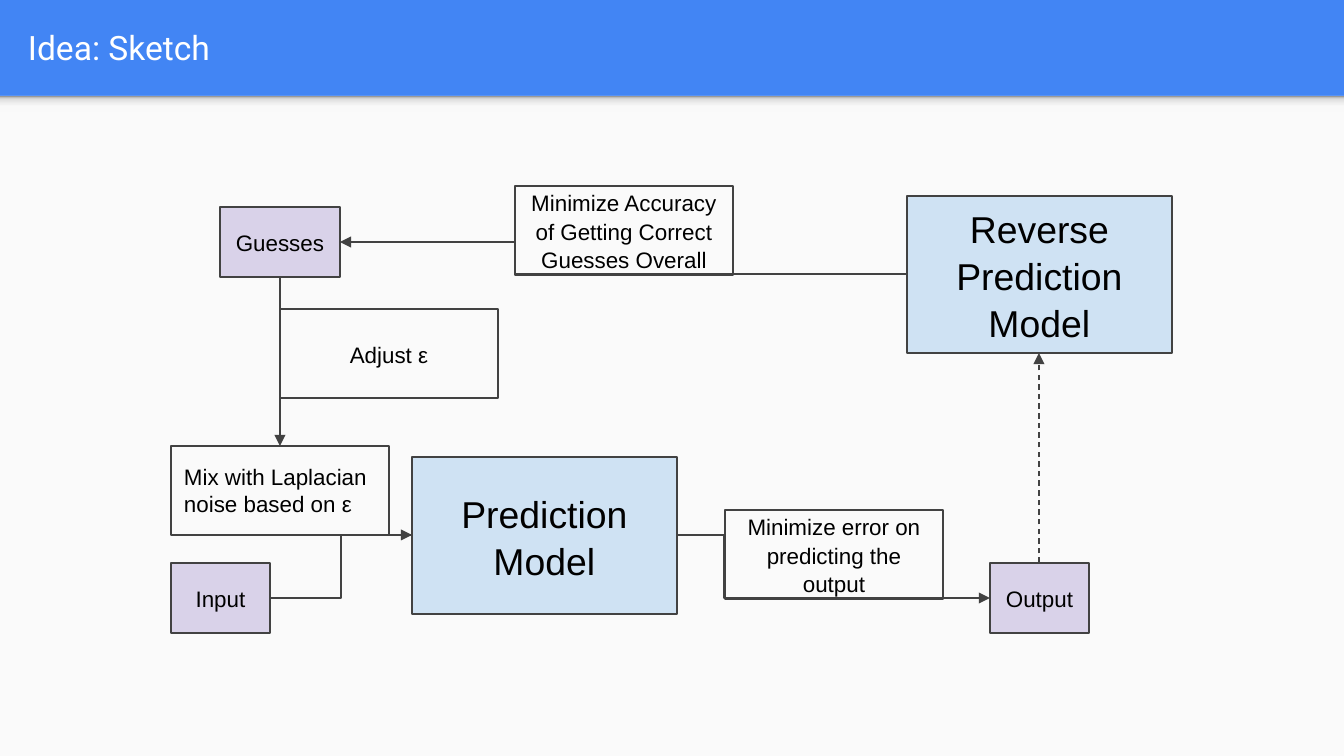
from lxml import etree
from pptx import Presentation
from pptx.dml.color import RGBColor
from pptx.enum.dml import MSO_LINE
from pptx.enum.shapes import MSO_CONNECTOR, MSO_SHAPE
from pptx.enum.text import MSO_ANCHOR, PP_ALIGN
from pptx.oxml.ns import qn
from pptx.util import Pt

RECT = MSO_SHAPE.RECTANGLE
STRAIGHT, ELBOW = MSO_CONNECTOR.STRAIGHT, MSO_CONNECTOR.ELBOW
DASH = MSO_LINE.DASH
MIDDLE = MSO_ANCHOR.MIDDLE
LEFT, CENTER = PP_ALIGN.LEFT, PP_ALIGN.CENTER

PX = 914400 / 134.4  # EMU per px
W, H, BAR_H = 1344, 756, 96

THEME = {
    "header": "4285F4", "page": "FAFAFA", "title": "FFFFFF", "text": "000000",
    "line": "424242", "model": "CFE2F3", "data": "D9D2E9",
    "shade": [(0, "F9F9F9"), (36, "F9F9F9"), (80, "DEDEDE"), (100, "999999")],
    "title_pt": 18, "model_pt": 20, "label_pt": 12, "line_pt": 0.75,
    "title_font": "Roboto", "body_font": "Arial",
}


def px(*values):
    return [round(v * PX) for v in values]


def write(sp, text, size=THEME["label_pt"], color=THEME["text"],
          font=THEME["body_font"], align=CENTER, spacing=1.05):
    tf = sp.text_frame
    tf.word_wrap = True
    tf.vertical_anchor = MIDDLE
    tf.margin_left = tf.margin_right = tf.margin_top = tf.margin_bottom = px(13)[0]
    p = tf.paragraphs[0]
    p.alignment = align
    p.line_spacing = spacing
    r = p.add_run()
    r.text = text
    r.font.size = Pt(size)
    r.font.name = font
    r.font.color.rgb = RGBColor.from_string(color)


prs = Presentation()
prs.slide_width, prs.slide_height = px(W, H)
s = prs.slides.add_slide(prs.slide_layouts[6])
s.background.fill.solid()
s.background.fill.fore_color.rgb = RGBColor.from_string(THEME["header"])

# Page below the header
page = s.shapes.add_shape(RECT, *px(0, BAR_H, W, H - BAR_H))
page.shadow.inherit = False
page.fill.solid()
page.fill.fore_color.rgb = RGBColor.from_string(THEME["page"])
page.line.fill.background()

# Soft shade under the header, darkest at its top
shade = s.shapes.add_shape(RECT, *px(0, BAR_H, W, 16))
shade.shadow.inherit = False
shade.line.fill.background()
shade.fill.gradient()
shade.fill.gradient_angle = 90
stops = shade.fill._fill._gradFill.find(qn("a:gsLst"))
for stop in list(stops):
    stops.remove(stop)
for pos, color in THEME["shade"]:
    stop = etree.SubElement(stops, qn("a:gs"), pos=str(pos * 1000))
    etree.SubElement(stop, qn("a:srgbClr"), val=color)

# Title
title = s.shapes.add_textbox(*px(15, 3, 1297, 89))
write(title, "Idea: Sketch", size=THEME["title_pt"], color=THEME["title"],
      font=THEME["title_font"], align=LEFT, spacing=1.0)

# Connectors: kind, from, to, bend position, arrowhead, dashed
connectors = [
    (ELBOW, (270, 598), (412, 535), 0.5, False, False),
    (STRAIGHT, (246, 535), (412, 535), None, True, False),
    (ELBOW, (677, 535), (990, 598), 0.15, True, False),
    (STRAIGHT, (1039, 563), (1039, 353), None, True, True),
    (ELBOW, (907, 274), (340, 242), 0.69, True, False),
    (STRAIGHT, (280, 278), (280, 446), None, True, False),
]
for kind, start, end, bend, arrow, dashed in connectors:
    cx = s.shapes.add_connector(kind, *px(*start, *end))
    cx.line.color.rgb = RGBColor.from_string(THEME["line"])
    cx.line.width = Pt(THEME["line_pt"])
    if dashed:
        cx.line.dash_style = DASH
    sp_pr = cx._element.spPr
    if bend is not None:
        guides = sp_pr.find(qn("a:prstGeom")).get_or_add_avLst()
        etree.SubElement(guides, qn("a:gd"), name="adj1",
                         fmla=f"val {round(bend * 100000)}")
    if arrow:
        etree.SubElement(cx.line._get_or_add_ln(), qn("a:tailEnd"), type="triangle")
    etree.SubElement(sp_pr, qn("a:effectLst"))

# Boxes: size, fill and text size by role
styles = {
    "model": (265, 157, THEME["model"], THEME["model_pt"]),
    "data": (99, 70, THEME["data"], THEME["label_pt"]),
    "guesses": (120, 70, THEME["data"], THEME["label_pt"]),
    "step": (218, 89, None, THEME["label_pt"]),
}
boxes = [
    ("model", 412, 457, "Prediction Model", CENTER),
    ("data", 171, 563, "Input", CENTER),
    ("step", 171, 446, "Mix with Laplacian noise based on ε", LEFT),
    ("model", 907, 196, "Reverse Prediction Model", CENTER),
    ("data", 990, 563, "Output", CENTER),
    ("step", 725, 510, "Minimize error on predicting the output", CENTER),
    ("guesses", 220, 207, "Guesses", CENTER),
    ("step", 515, 186, "Minimize Accuracy of Getting Correct Guesses Overall", CENTER),
    ("step", 280, 309, "Adjust ε", CENTER),
]
for role, x, y, text, align in boxes:
    w, h, fill, size = styles[role]
    sp = s.shapes.add_shape(RECT, *px(x, y, w, h))
    sp.shadow.inherit = False
    if fill:
        sp.fill.solid()
        sp.fill.fore_color.rgb = RGBColor.from_string(fill)
    else:
        sp.fill.background()
    sp.line.color.rgb = RGBColor.from_string(THEME["line"])
    sp.line.width = Pt(THEME["line_pt"])
    write(sp, text, size=size, align=align, spacing=1.0 if align == LEFT else 1.05)

prs.save("out.pptx")
